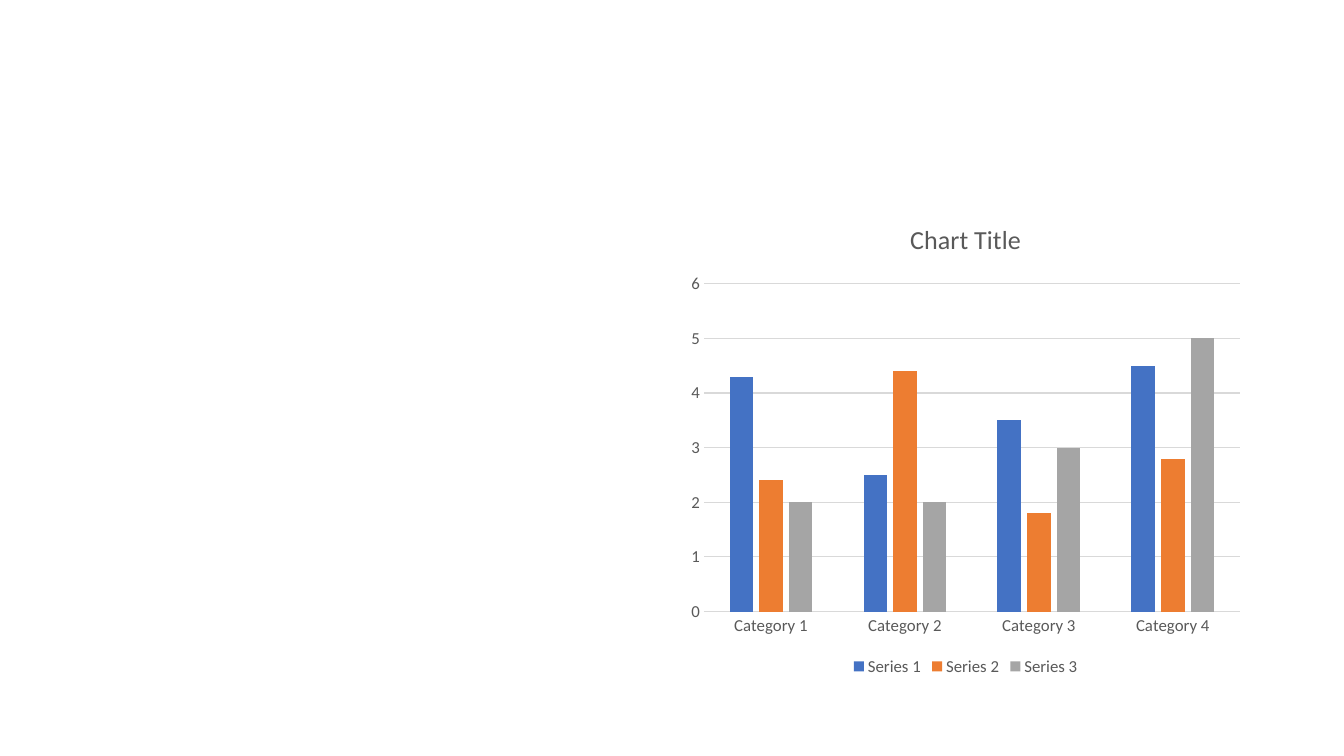
from pptx import Presentation
from pptx.chart.data import CategoryChartData
from pptx.dml.color import RGBColor
from pptx.enum.chart import XL_CHART_TYPE, XL_LEGEND_POSITION, XL_TICK_MARK
from pptx.util import Inches, Pt

# Content
CHART_TITLE = "Chart Title"
CATEGORIES = ["Category 1", "Category 2", "Category 3", "Category 4"]
SERIES = {
    "Series 1": (4.3, 2.5, 3.5, 4.5),
    "Series 2": (2.4, 4.4, 1.8, 2.8),
    "Series 3": (2, 2, 3, 5),
}

# Format
COLORS = {
    "Series 1": "4472C4",
    "Series 2": "ED7D31",
    "Series 3": "A5A5A5",
    "text": "595959",
    "line": "D9D9D9",
}
LABEL_FORMAT = {"name": "Calibri", "size": Pt(12), "bold": False}
TITLE_FORMAT = {**LABEL_FORMAT, "size": Pt(18.6)}
AXIS_FORMAT = {"major_tick_mark": XL_TICK_MARK.NONE, "minor_tick_mark": XL_TICK_MARK.NONE}
VALUE_SCALE = {"minimum_scale": 0, "maximum_scale": 6, "major_unit": 1}
PLOT_FORMAT = {"gap_width": 219, "overlap": -27, "vary_by_categories": False}
LEGEND_FORMAT = {"position": XL_LEGEND_POSITION.BOTTOM, "include_in_layout": False}

# Slide size and chart area
SLIDE_WIDTH, SLIDE_HEIGHT = Inches(13.33), Inches(7.5)
CHART_AREA = {"left": 0.506, "top": 0.266, "width": 0.425, "height": 0.634}


def apply(target, values):
    for name, value in values.items():
        setattr(target, name, value)


def style_font(font, values):
    apply(font, values)
    font.color.rgb = RGBColor.from_string(COLORS["text"])


def style_line(line):
    line.color.rgb = RGBColor.from_string(COLORS["line"])
    line.width = Pt(0.75)


def add_column_chart(slide):
    chart_data = CategoryChartData()
    chart_data.categories = CATEGORIES
    for name, values in SERIES.items():
        chart_data.add_series(name, values)
    left, width = (int(SLIDE_WIDTH * CHART_AREA[key]) for key in ("left", "width"))
    top, height = (int(SLIDE_HEIGHT * CHART_AREA[key]) for key in ("top", "height"))
    return slide.shapes.add_chart(
        XL_CHART_TYPE.COLUMN_CLUSTERED, left, top, width, height, chart_data
    ).chart


def style_chart(chart):
    # Title and legend
    title_frame = chart.chart_title.text_frame
    title_frame.text = CHART_TITLE
    style_font(title_frame.paragraphs[0].runs[0].font, TITLE_FORMAT)
    chart.chart_title.include_in_layout = False
    chart.has_legend = True
    apply(chart.legend, LEGEND_FORMAT)
    style_font(chart.legend.font, LABEL_FORMAT)

    # Axes
    for axis in (chart.category_axis, chart.value_axis):
        apply(axis, AXIS_FORMAT)
        style_font(axis.tick_labels.font, LABEL_FORMAT)
    style_line(chart.category_axis.format.line)
    apply(chart.value_axis, VALUE_SCALE)
    chart.value_axis.format.line.fill.background()
    style_line(chart.value_axis.major_gridlines.format.line)

    # Columns
    plot = chart.plots[0]
    apply(plot, PLOT_FORMAT)
    for series in plot.series:
        series.format.fill.solid()
        series.format.fill.fore_color.rgb = RGBColor.from_string(COLORS[series.name])


def main():
    presentation = Presentation()
    presentation.slide_width, presentation.slide_height = SLIDE_WIDTH, SLIDE_HEIGHT
    blank_layout = presentation.slide_layouts.get_by_name("Blank")
    slide = presentation.slides.add_slide(blank_layout)
    style_chart(add_column_chart(slide))
    presentation.save("out.pptx")


if __name__ == "__main__":
    main()
